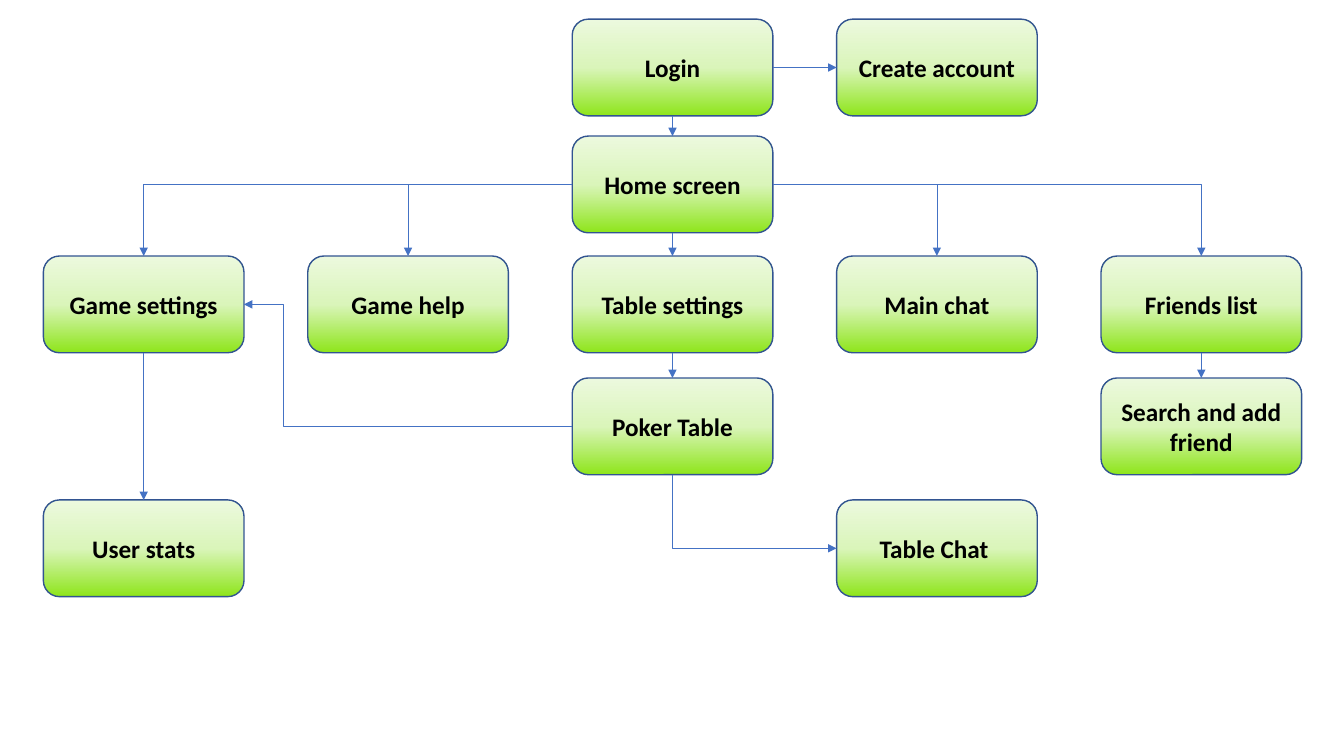
from copy import deepcopy

from lxml import etree
from pptx import Presentation
from pptx.dml.color import RGBColor
from pptx.enum.shapes import MSO_CONNECTOR, MSO_SHAPE
from pptx.enum.text import MSO_ANCHOR, PP_ALIGN
from pptx.oxml.ns import qn
from pptx.util import Inches, Pt

ROUNDED = MSO_SHAPE.ROUNDED_RECTANGLE
STRAIGHT, ELBOW = MSO_CONNECTOR.STRAIGHT, MSO_CONNECTOR.ELBOW
CENTER, MIDDLE = PP_ALIGN.CENTER, MSO_ANCHOR.MIDDLE
TOP, LEFT, BOTTOM, RIGHT = range(4)  # connection sites of a rounded rectangle

# (text, column, row)
SCREENS = [
    ("Login", 2, 0), ("Create account", 3, 0),
    ("Home screen", 2, 1),
    ("Game settings", 0, 2), ("Game help", 1, 2), ("Table settings", 2, 2),
    ("Main chat", 3, 2), ("Friends list", 4, 2),
    ("Poker Table", 2, 3), ("Search and add friend", 4, 3),
    ("User stats", 0, 4), ("Table Chat ", 3, 4),
]

# (from, site, to, site, route)
LINKS = [
    ("Login", RIGHT, "Create account", LEFT, "straight"),
    ("Login", BOTTOM, "Home screen", TOP, "straight"),
    ("Home screen", BOTTOM, "Table settings", TOP, "straight"),
    ("Table settings", BOTTOM, "Poker Table", TOP, "straight"),
    ("Game settings", BOTTOM, "User stats", TOP, "straight"),
    ("Friends list", BOTTOM, "Search and add friend", TOP, "straight"),
    ("Home screen", LEFT, "Game help", TOP, "across-down"),
    ("Home screen", LEFT, "Game settings", TOP, "across-down"),
    ("Home screen", RIGHT, "Main chat", TOP, "across-down"),
    ("Home screen", RIGHT, "Friends list", TOP, "across-down"),
    ("Poker Table", LEFT, "Game settings", RIGHT, "step"),
    ("Poker Table", BOTTOM, "Table Chat ", LEFT, "down-across"),
]

FIRST_COL, LAST_COL, COLS = 0.43, 10.92, 5
ROW_TOPS = [0.19, 1.35, 2.54, 3.75, 4.96]
BOX_W, BOX_H = 1.99, 0.96
GRADIENT = [(0, "8EE51B"), (0.5, "DAF5BA"), (1, "ECF9DE")]
BORDER, ARROW, INK = "325491", "4472C4", "000000"
STEP_BEND = 88000  # share of the width before the bend, in 1/100000


def rgb(color):
    return RGBColor.from_string(color)


def fill_gradient(sp):
    """Fill a shape with GRADIENT, running from bottom to top."""
    sp.fill.gradient()
    sp.fill.gradient_angle = 90
    stop_list = sp._element.spPr.find(qn("a:gradFill")).find(qn("a:gsLst"))
    stop_list.append(deepcopy(stop_list[0]))
    for stop, (position, color) in zip(sp.fill.gradient_stops, GRADIENT):
        stop.position = position
        stop.color.rgb = rgb(color)


def write(tf, text, size=18, color=INK, bold=True, font="Calibri"):
    tf.word_wrap = True
    tf.vertical_anchor = MIDDLE
    p = tf.paragraphs[0]
    p.alignment = CENTER
    r = p.add_run()
    r.text = text
    r.font.name, r.font.size, r.font.bold = font, Pt(size), bold
    r.font.color.rgb = rgb(color)


def add_screen(slide, text, col, row):
    x = FIRST_COL + col * (LAST_COL - FIRST_COL) / (COLS - 1)
    sp = slide.shapes.add_shape(ROUNDED, Inches(x), Inches(ROW_TOPS[row]),
                                Inches(BOX_W), Inches(BOX_H))
    sp.shadow.inherit = False
    fill_gradient(sp)
    sp.line.color.rgb = rgb(BORDER)
    sp.line.width = Pt(1)
    write(sp.text_frame, text)
    return sp


def turn_down_first(link):
    """Rotate a right-then-down elbow so that it runs down, then right."""
    w, h = link.width, link.height
    link.left += (w - h) // 2
    link.top += (h - w) // 2
    link.width, link.height = h, w
    xfrm = link._element.spPr.find(qn("a:xfrm"))
    xfrm.set("rot", str(270 * 60000))
    xfrm.set("flipH", "1")


def add_link(slide, start, start_site, end, end_site, route):
    kind = STRAIGHT if route == "straight" else ELBOW
    link = slide.shapes.add_connector(kind, 0, 0, 0, 0)
    link.begin_connect(start, start_site)
    link.end_connect(end, end_site)
    link.line.color.rgb = rgb(ARROW)
    link.line.width = Pt(0.5)
    spPr = link._element.spPr
    etree.SubElement(spPr.find(qn("a:ln")), qn("a:tailEnd"), type="triangle")
    etree.SubElement(spPr, qn("a:effectLst"))
    geometry = spPr.find(qn("a:prstGeom"))
    if route == "step":
        guides = geometry.find(qn("a:avLst"))
        etree.SubElement(guides, qn("a:gd"), name="adj1", fmla=f"val {STEP_BEND}")
    elif route != "straight":
        geometry.set("prst", "bentConnector2")
    if route == "down-across":
        turn_down_first(link)


def main():
    prs = Presentation()
    prs.slide_width, prs.slide_height = Inches(13.33), Inches(7.5)
    slide = prs.slides.add_slide(prs.slide_layouts[6])
    screens = {text: add_screen(slide, text, col, row) for text, col, row in SCREENS}
    for start, start_site, end, end_site, route in LINKS:
        add_link(slide, screens[start], start_site, screens[end], end_site, route)
    prs.save("out.pptx")


if __name__ == "__main__":
    main()
